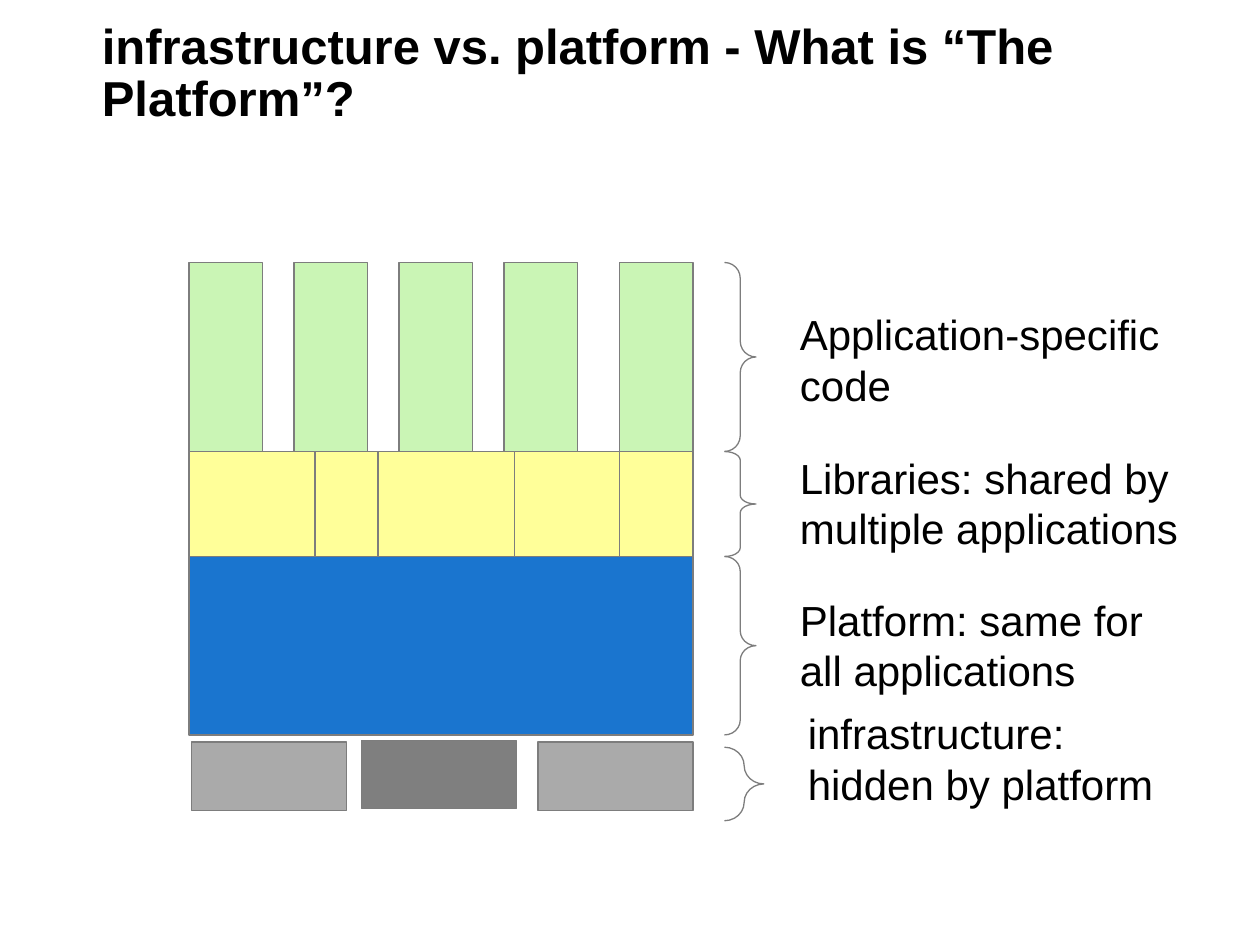
from dataclasses import dataclass
from itertools import accumulate

from pptx import Presentation
from pptx.dml.color import RGBColor
from pptx.enum import shapes, text
from pptx.util import Pt

BLACK = RGBColor(0, 0, 0)
EDGE = RGBColor(0x7D, 0x7D, 0x7D)
BLUE = RGBColor(0x1A, 0x75, 0xCF)
YELLOW = RGBColor(0xFF, 0xFF, 0x99)
GREEN = RGBColor(0xCA, 0xF5, 0xB5)
LIGHT = RGBColor(0xAA, 0xAA, 0xAA)
DARK = RGBColor(0x7F, 0x7F, 0x7F)
FONT = "Arial"
LEFT = 108
APP, LIB, BASE, END = 150, 258, 318, 420


@dataclass
class Block:
    x: float
    y: float
    w: float
    h: float
    fill: RGBColor


@dataclass
class Layer:
    label: str
    x: float
    y: float
    top: float
    h: float
    w: float = 18
    curve: float = 1 / 12


LIB_WIDTHS = [72, 36, 78, 60, 42]
LIB_LEFTS = accumulate(LIB_WIDTHS[:-1], initial=LEFT)
BLOCKS = [
    Block(LEFT, BASE, sum(LIB_WIDTHS), END - BASE, BLUE),
    *(Block(x, LIB, w, BASE - LIB, YELLOW) for x, w in zip(LIB_LEFTS, LIB_WIDTHS)),
    *(Block(x, APP, 42, LIB - APP, GREEN) for x in (108, 168, 228, 288, 354)),
    Block(109.5, 424, 88.5, 39, LIGHT),
    Block(206.5, 423, 88.5, 39, DARK),
    Block(307.5, 424, 88.5, 39, LIGHT),
]
LAYERS = [
    Layer("Application-specific code", 450, 173, APP, LIB - APP),
    Layer("Libraries: shared by multiple applications", 450, 255, LIB, BASE - LIB),
    Layer("Platform: same for all applications", 450, 336, BASE, END - BASE),
    Layer("infrastructure: hidden by platform", 454.5, 401, 427, 42, 22.5, 1 / 4),
]


def style(para, size: float, bold: bool = False) -> None:
    para.alignment = text.PP_ALIGN.LEFT
    para.font.name = FONT
    para.font.size = Pt(size)
    para.font.bold = bold
    para.font.color.rgb = BLACK


def draw_block(slide, block: Block) -> None:
    rect = slide.shapes.add_shape(
        shapes.MSO_SHAPE.RECTANGLE, Pt(block.x), Pt(block.y), Pt(block.w), Pt(block.h))
    rect.shadow.inherit = False
    rect.fill.solid()
    rect.fill.fore_color.rgb = block.fill
    rect.line.color.rgb = EDGE
    rect.line.width = Pt(0.75)


def draw_layer(slide, layer: Layer) -> None:
    brace = slide.shapes.add_shape(
        shapes.MSO_SHAPE.RIGHT_BRACE, Pt(414), Pt(layer.top), Pt(layer.w), Pt(layer.h))
    brace.adjustments[0] = layer.h * layer.curve / layer.w
    brace.shadow.inherit = False
    brace.fill.background()
    brace.line.color.rgb = EDGE
    brace.line.width = Pt(0.75)

    box = slide.shapes.add_textbox(Pt(layer.x), Pt(layer.y), Pt(234), Pt(65))
    box.text_frame.word_wrap = True
    box.text_frame.text = layer.label
    style(box.text_frame.paragraphs[0], 24)


def draw_title(slide) -> None:
    title = slide.shapes.title
    title.left, title.top, title.width, title.height = Pt(51), Pt(22.5), Pt(631), Pt(54)
    frame = title.text_frame
    frame.text = "infrastructure vs. platform - What is “The Platform”?"
    frame.word_wrap = True
    frame.auto_size = text.MSO_AUTO_SIZE.NONE
    frame.vertical_anchor = text.MSO_ANCHOR.BOTTOM
    para = frame.paragraphs[0]
    para.line_spacing = 0.9
    style(para, 28, bold=True)


def main() -> None:
    deck = Presentation()
    deck.slide_width, deck.slide_height = Pt(720), Pt(540)
    slide = deck.slides.add_slide(deck.slide_layouts[5])
    draw_title(slide)
    for block in BLOCKS:
        draw_block(slide, block)
    for layer in LAYERS:
        draw_layer(slide, layer)
    deck.save("out.pptx")


if __name__ == "__main__":
    main()
